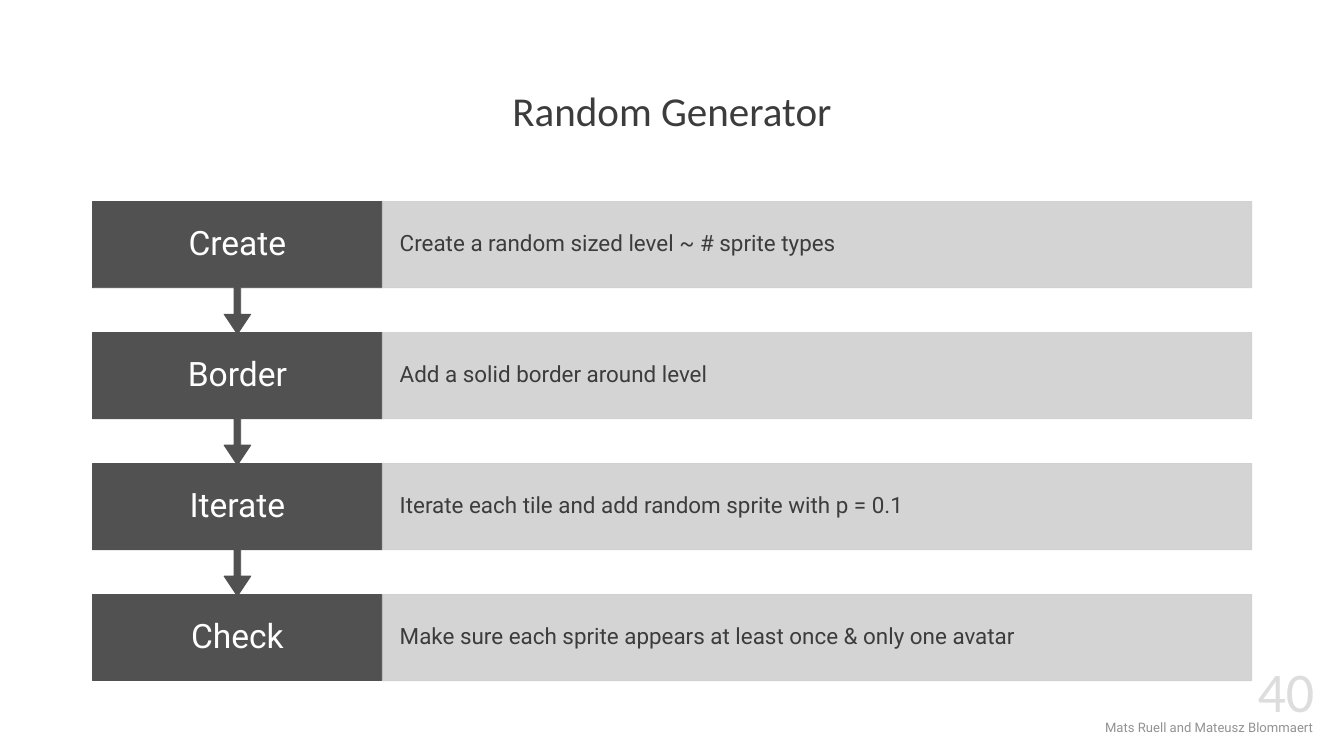
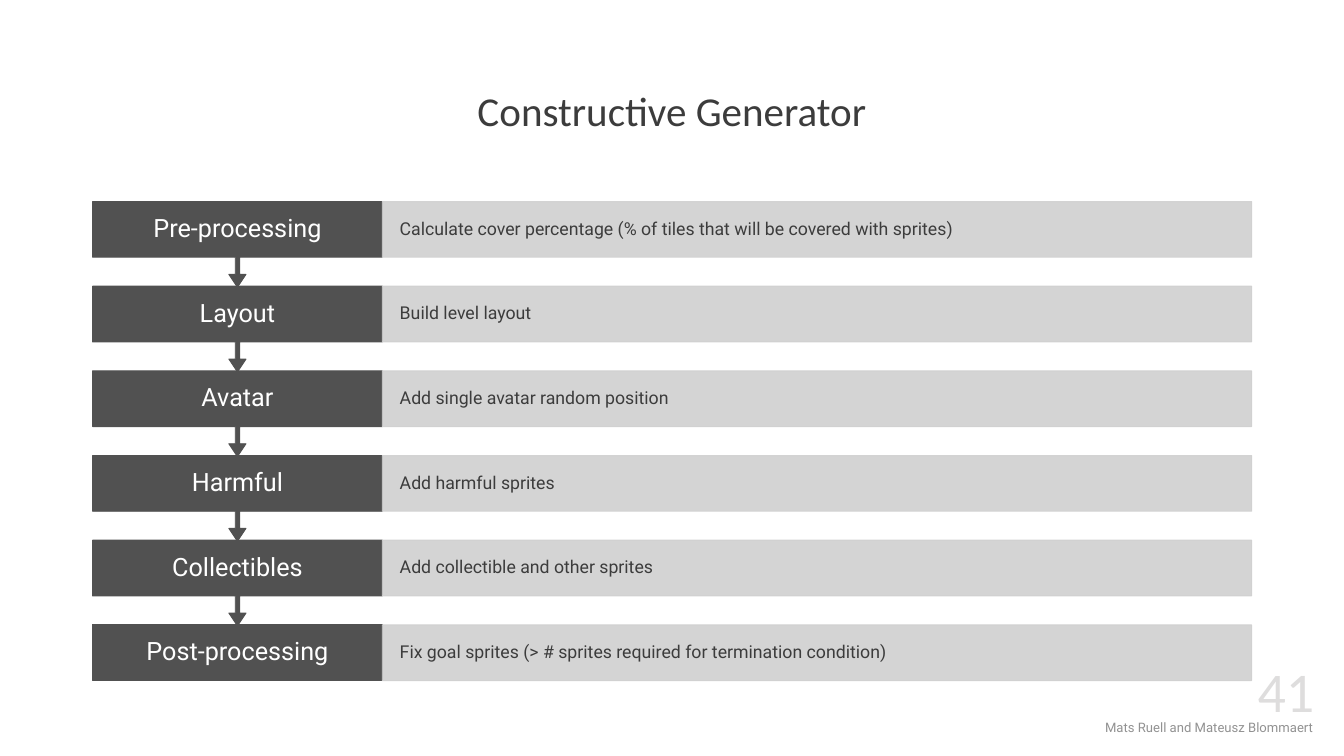
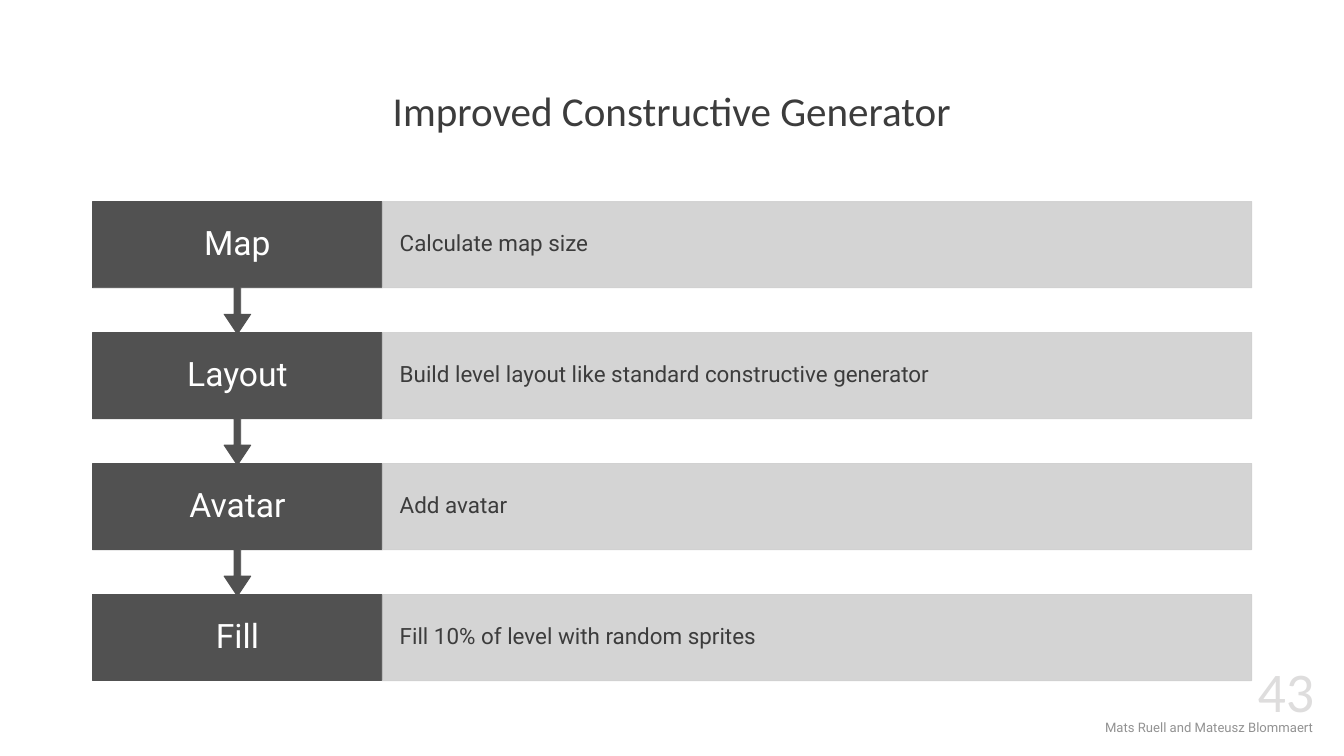
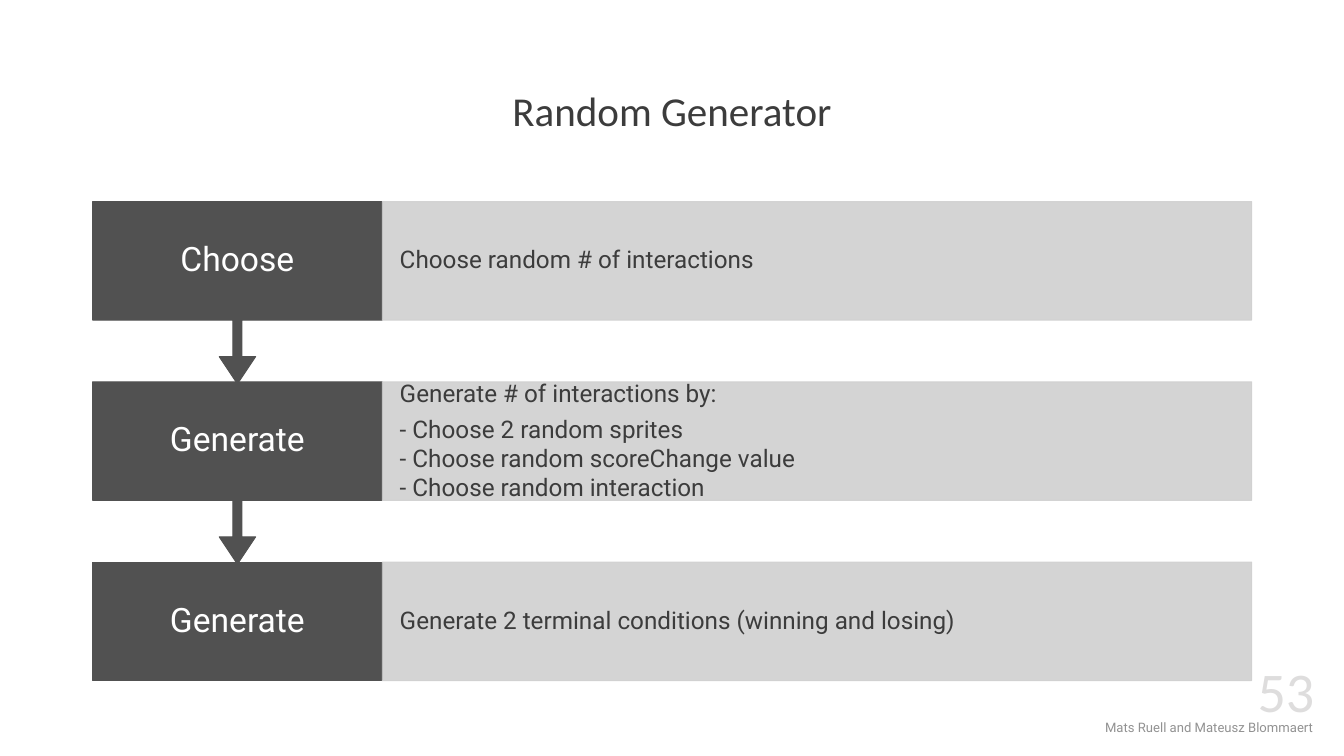
"""Build four slides that show level and rule generators as chains of steps."""
from lxml.etree import SubElement
from pptx import Presentation
from pptx.dml.color import RGBColor
from pptx.enum.shapes import MSO_SHAPE as SHAPE
from pptx.enum.text import MSO_ANCHOR as ANCHOR, MSO_AUTO_SIZE as AUTO_SIZE, PP_ALIGN as ALIGN
from pptx.oxml.ns import qn
from pptx.util import Cm, Pt

DARK = RGBColor(0x51, 0x51, 0x51)
LIGHT = RGBColor(0xD0, 0xD0, 0xD0)
INK = RGBColor(0x3C, 0x3C, 0x3C)
WHITE = RGBColor(0xFF, 0xFF, 0xFF)
NUMBER_GREY = RGBColor(0xDE, 0xDD, 0xDD)
AUTHOR_GREY = RGBColor(0x92, 0x92, 0x92)

LEFT, TOP = 3.5, 7.62
STEP_WIDTH, DETAIL_WIDTH = 10.95, 32.86
CHAIN_HEIGHT = 18.11
PITCH = 1.52
BOX_SHARE = 0.65
AUTHORS = "Mats Ruell and Mateusz Blommaert"

GENERATORS = [
    ("Random Generator", "40", 36, 24, [
        ("Create", "Create a random sized level ~ # sprite types"),
        ("Border", "Add a solid border around level"),
        ("Iterate", "Iterate each tile and add random sprite with p = 0.1"),
        ("Check", "Make sure each sprite appears at least once & only one avatar"),
    ]),
    ("Constructive Generator", "41", 27, 19, [
        ("Pre-processing", "Calculate cover percentage (% of tiles that will be covered with sprites)"),
        ("Layout", "Build level layout"),
        ("Avatar", "Add single avatar random position"),
        ("Harmful", "Add harmful sprites"),
        ("Collectibles", "Add collectible and other sprites"),
        ("Post-processing", "Fix goal sprites (> # sprites required for termination condition)"),
    ]),
    ("Improved Constructive Generator", "43", 36, 24, [
        ("Map", "Calculate map size"),
        ("Layout", "Build level layout like standard constructive generator"),
        ("Avatar", "Add avatar"),
        ("Fill", "Fill 10% of level with random sprites"),
    ]),
    ("Random Generator", "53", 36, 26, [
        ("Choose", "Choose random # of interactions"),
        ("Generate", "Generate # of interactions by:\n- Choose 2 random sprites\n"
                     "- Choose random scoreChange value\n- Choose random interaction"),
        ("Generate", "Generate 2 terminal conditions (winning and losing)"),
    ]),
]


def write(shape, text, size, color, font="Roboto", align=ALIGN.LEFT,
          anchor=ANCHOR.MIDDLE, spacing=0.9, inset=0.25):
    frame = shape.text_frame
    frame.word_wrap = True
    frame.auto_size = AUTO_SIZE.NONE
    frame.vertical_anchor = anchor
    frame.margin_left = frame.margin_right = Cm(inset)
    frame.margin_top = frame.margin_bottom = 0
    frame.text = text
    for index, paragraph in enumerate(frame.paragraphs):
        paragraph.alignment = align
        paragraph.line_spacing = 1.0 if index else spacing
        paragraph.space_before = Pt(7 if index == 1 else 0)
        paragraph.font.name = font
        paragraph.font.size = Pt(size)
        paragraph.font.color.rgb = color


def add_block(slide, kind, left, top, width, height, color, opacity=100):
    block = slide.shapes.add_shape(kind, Cm(left), Cm(top), Cm(width), Cm(height))
    block.shadow.inherit = False
    block.fill.solid()
    block.fill.fore_color.rgb = color
    block.line.color.rgb = color
    block.line.width = Pt(1)
    if opacity < 100:
        for tint in block.fill._xPr.iter(qn("a:srgbClr")):
            SubElement(tint, qn("a:alpha"), val=str(opacity * 1000))
    return block


deck = Presentation()
deck.slide_width, deck.slide_height = Cm(50.8), Cm(28.58)

for heading, page, step_size, detail_size, steps in GENERATORS:
    slide = deck.slides.add_slide(deck.slide_layouts[5])
    title = slide.shapes.title
    title.left, title.top = Cm(LEFT), Cm(1.52)
    title.width, title.height = Cm(STEP_WIDTH + DETAIL_WIDTH), Cm(5.51)
    write(title, heading, 44, INK, font="Calibri", align=ALIGN.CENTER)

    last = len(steps) - 1
    box_height = CHAIN_HEIGHT / (1 + PITCH * last)
    for row, (step, detail) in reversed(list(enumerate(steps))):
        top = TOP + row * PITCH * box_height
        if row == last:
            step_block = add_block(slide, SHAPE.RECTANGLE, LEFT, top, STEP_WIDTH, box_height, DARK)
        else:
            step_block = add_block(slide, SHAPE.DOWN_ARROW_CALLOUT, LEFT, top, STEP_WIDTH,
                                   box_height / BOX_SHARE, DARK)
            for index, share in enumerate((0.05, 0.1, 0.15, BOX_SHARE)):
                step_block.adjustments[index] = share
        write(step_block, step, step_size, WHITE, align=ALIGN.CENTER, inset=0.79)
        detail_bar = add_block(slide, SHAPE.RECTANGLE, LEFT + STEP_WIDTH, top, DETAIL_WIDTH,
                               box_height, LIGHT, opacity=90)
        write(detail_bar, detail, detail_size, INK, inset=0.66)

    page_number = slide.shapes.add_textbox(Cm(42.39), Cm(24.66), Cm(7.54), Cm(2.69))
    write(page_number, page, 60, NUMBER_GREY, font="Calibri", align=ALIGN.RIGHT,
          anchor=ANCHOR.BOTTOM, spacing=1.0)
    authors = slide.shapes.add_textbox(Cm(31.04), Cm(26.72), Cm(18.85), Cm(1.52))
    write(authors, AUTHORS, 14, AUTHOR_GREY, align=ALIGN.RIGHT, spacing=1.0)

deck.save("out.pptx")
